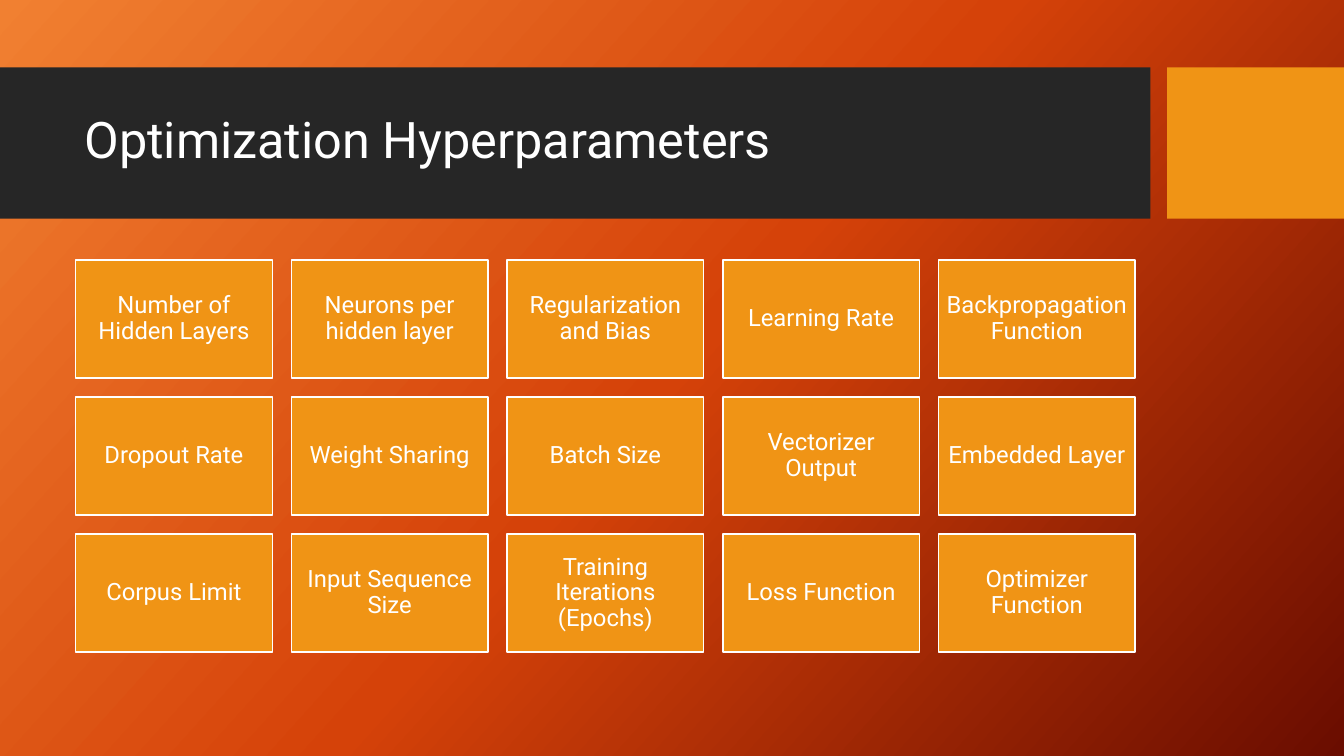
from copy import deepcopy
from dataclasses import dataclass

from pptx import Presentation
from pptx import util as u
from pptx.dml.color import RGBColor
from pptx.enum import shapes, text
from pptx.oxml.ns import qn


@dataclass(frozen=True)
class Theme:
    font: str = "Roboto"
    title_size: int = 36
    tile_size: int = 17
    white: str = "FFFFFF"
    charcoal: str = "262626"
    amber: str = "F09415"
    backdrop: tuple = ((0, "F18031"), (0.5, "D54209"), (1, "6A0D00"))
    backdrop_angle: int = 318


class SlideBuilder:
    def __init__(self, deck, theme):
        self.deck = deck
        self.theme = theme
        self.slide = deck.slides.add_slide(deck.slide_layouts[6])

    def place(self, left, top, width, height):
        across, down = self.deck.slide_width / 100, self.deck.slide_height / 100
        return [round(n) for n in (left * across, top * down, width * across, height * down)]

    def background(self):
        fill = self.slide.background.fill
        fill.gradient()
        fill.gradient_angle = self.theme.backdrop_angle
        stops = self.slide.element.find(".//" + qn("a:gsLst"))
        stops.append(deepcopy(stops[-1]))
        for stop, (position, color) in zip(fill.gradient_stops, self.theme.backdrop):
            stop.position = position
            stop.color.rgb = RGBColor.from_string(color)

    def block(self, area, color, outline=None):
        block = self.slide.shapes.add_shape(shapes.MSO_SHAPE.RECTANGLE, *self.place(*area))
        block.shadow.inherit = False
        block.fill.solid()
        block.fill.fore_color.rgb = RGBColor.from_string(color)
        if outline:
            block.line.color.rgb = RGBColor.from_string(outline)
            block.line.width = u.Pt(1)
        else:
            block.line.fill.background()
        return block

    def label(self, frame, wording, size, align):
        frame.word_wrap = True
        frame.vertical_anchor = text.MSO_ANCHOR.MIDDLE
        paragraph = frame.paragraphs[0]
        paragraph.alignment = align
        paragraph.line_spacing = 0.9
        run = paragraph.add_run()
        run.text = wording
        run.font.name = self.theme.font
        run.font.size = u.Pt(size)
        run.font.color.rgb = RGBColor.from_string(self.theme.white)

    def title(self, area, wording):
        heading = self.slide.shapes.add_textbox(*self.place(*area))
        self.label(heading.text_frame, wording, self.theme.title_size, text.PP_ALIGN.LEFT)

    def tile(self, area, wording):
        frame = self.block(area, self.theme.amber, self.theme.white).text_frame
        frame.margin_left = frame.margin_right = u.Inches(0.07)
        frame.margin_top = frame.margin_bottom = u.Inches(0.07)
        self.label(frame, wording, self.theme.tile_size, text.PP_ALIGN.CENTER)


HYPERPARAMETERS = (
    ("Number of Hidden Layers", "Neurons per hidden layer", "Regularization and Bias",
     "Learning Rate", "Backpropagation Function"),
    ("Dropout Rate", "Weight Sharing", "Batch Size", "Vectorizer Output", "Embedded Layer"),
    ("Corpus Limit", "Input Sequence Size", "Training Iterations (Epochs)",
     "Loss Function", "Optimizer Function"),
)
GRID_LEFT, GRID_TOP = 5.63, 34.4
TILE_WIDTH, TILE_HEIGHT = 14.63, 15.6
COLUMN_STEP, ROW_STEP = 16.05, 18.13
BAND_TOP, BAND_HEIGHT = 8.93, 20

deck = Presentation()
deck.slide_width, deck.slide_height = u.Inches(13.33), u.Inches(7.5)
theme = Theme()
builder = SlideBuilder(deck, theme)
builder.background()
builder.block((0, BAND_TOP, 85.6, BAND_HEIGHT), theme.charcoal)
builder.block((86.84, BAND_TOP, 13.16, BAND_HEIGHT), theme.amber)
builder.title((5.55, 10.93, 78.84, 15.73), "Optimization Hyperparameters")
for row, settings in enumerate(HYPERPARAMETERS):
    for column, setting in enumerate(settings):
        left = GRID_LEFT + column * COLUMN_STEP
        top = GRID_TOP + row * ROW_STEP
        builder.tile((left, top, TILE_WIDTH, TILE_HEIGHT), setting)
deck.save("out.pptx")
